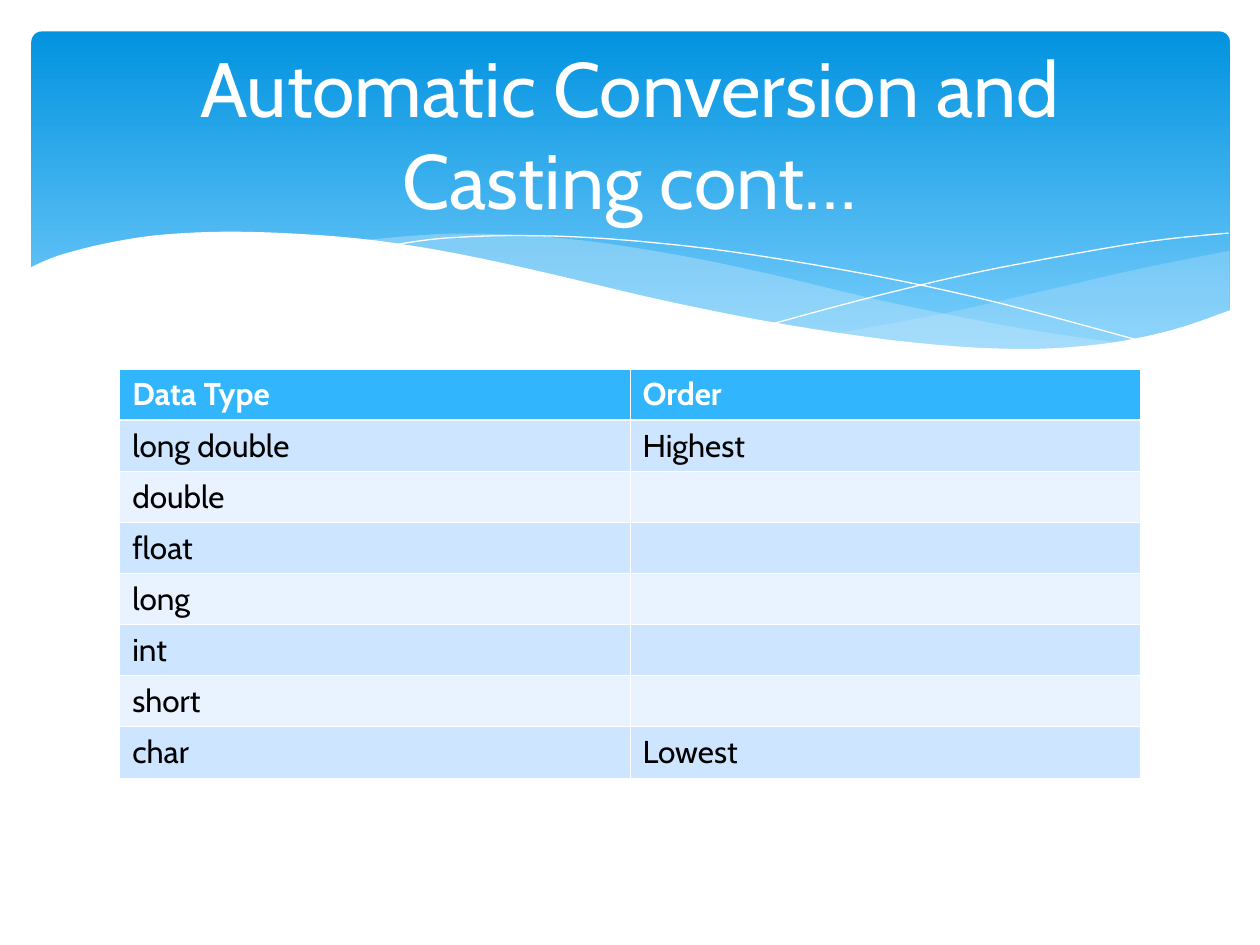
from lxml import etree
from pptx import Presentation, util as u
from pptx.dml.color import RGBColor
from pptx.enum import shapes, text
from pptx.oxml.ns import qn

# Content
TITLE = "Automatic Conversion and Casting cont…"
ROWS = [("Data Type", "Order"), ("long double", "Highest"), ("double", ""),
        ("float", ""), ("long", ""), ("int", ""), ("short", ""),
        ("char", "Lowest")]
FONT = "Cabin"
COLORS = {"white": "FFFFFF", "black": "000000", "top": "0293E0",
          "bottom": "83D3FE", "wave": "C6E7FC", "header": "31B6FD",
          "odd": "CDE5FE", "even": "E8F3FF"}
UNITS = 1000  # freeform units per inch, as points are whole numbers

# Waves: each edge is a list of points in inches joined by a smooth curve
RIGHT_WAVE = [
    [(9.76, 1.99), (9.06, 2.13), (8.32, 2.3), (7.53, 2.48), (6.61, 2.65)],
    [(6.61, 2.65), (7.18, 2.72), (7.81, 2.77), (8.35, 2.77), (8.89, 2.72),
     (9.35, 2.61), (9.76, 2.47)]]
LEFT_WAVE = [
    [(8.93, 2.73), (8.07, 2.6), (7.06, 2.4), (6.13, 2.18), (5.41, 2.03),
     (4.64, 1.91), (3.99, 1.86), (3.44, 1.86), (2.86, 1.91)],
    [(2.86, 1.91), (3.62, 2.03), (4.49, 2.22), (5.3, 2.4), (6.18, 2.58),
     (6.95, 2.7), (7.61, 2.77), (8.28, 2.78), (8.93, 2.73)]]
FALLING_LINE = [
    [(3.09, 1.95), (3.53, 1.89), (4.16, 1.87), (4.89, 1.9), (5.82, 2),
     (6.95, 2.19), (7.95, 2.41), (9.07, 2.71)]]
RISING_LINE = [
    [(6.13, 2.57), (6.95, 2.35), (7.76, 2.16), (8.66, 1.99), (9.24, 1.9),
     (9.75, 1.85)]]
WHITE_WAVE = [
    [(9.77, 2.46), (9.3, 2.62), (8.75, 2.73), (8.09, 2.77), (7.26, 2.72),
     (6.26, 2.58), (5.29, 2.39), (4.18, 2.13), (3.39, 1.97), (2.71, 1.88),
     (1.93, 1.84), (1.32, 1.86), (0.85, 1.93), (0.46, 2.03), (0.23, 2.13)],
    [(0.23, 3.29), (9.77, 3.29)]]

prs = Presentation()
prs.slide_width, prs.slide_height = u.Inches(10), u.Inches(7.5)
s = prs.slides.add_slide(prs.slide_layouts[6])


def rgb(name):
    return RGBColor.from_string(COLORS[name])


def smooth(pts, steps=5):
    """Points of a Catmull-Rom curve through pts."""
    if len(pts) < 3:
        return pts
    ext = [pts[0], *pts, pts[-1]]
    out = []
    for a, b, c, d in zip(ext, ext[1:], ext[2:], ext[3:]):
        for t in (i / steps for i in range(steps)):
            out.append(tuple(
                q + t / 2 * (r - p + t * (2 * p - 5 * q + 4 * r - w
                                          + t * (3 * (q - r) + w - p)))
                for p, q, r, w in zip(a, b, c, d)))
    return out + [pts[-1]]


def add_curve(edges, fill=None, opacity=100):
    """Filled wave, or an open white hairline when no fill is named."""
    pts = [(round(x * UNITS), round(y * UNITS))
           for edge in edges for x, y in smooth(edge)]
    fb = s.shapes.build_freeform(*pts[0], scale=u.Inches(1) / UNITS)
    fb.add_line_segments(pts[1:], close=fill is not None)
    sp = fb.convert_to_shape()
    sp.shadow.inherit = False
    if fill is None:
        sp.fill.background()
        sp.line.color.rgb = rgb("white")
        sp.line.width = 0
        return
    sp.line.fill.background()
    sp.fill.solid()
    sp.fill.fore_color.rgb = rgb(fill)
    if opacity < 100:
        clr = sp._element.spPr.find(".//" + qn("a:srgbClr"))
        etree.SubElement(clr, qn("a:alpha"), val=str(opacity * 1000))


def style(p, size, color, bold=False):
    p.font.name, p.font.size, p.font.bold = FONT, u.Pt(size), bold
    p.font.color.rgb = rgb(color)


def add_borders(cell, **widths):
    tcPr = cell._tc.get_or_add_tcPr()
    for i, side in enumerate("LRTB"):
        ln = etree.Element(qn("a:ln" + side),
                           w=str(u.Pt(widths.get(side, 0.45))))
        fill = etree.SubElement(ln, qn("a:solidFill"))
        etree.SubElement(fill, qn("a:srgbClr"), val=COLORS["white"])
        tcPr.insert(i, ln)


# Banner
sp = s.shapes.add_shape(shapes.MSO_SHAPE.ROUNDED_RECTANGLE, u.Inches(0.25),
                        u.Inches(0.25), u.Inches(9.51), u.Inches(2.7))
sp.adjustments[0] = 0.03
sp.shadow.inherit = False
sp.line.fill.background()
sp.fill.gradient()
sp.fill.gradient_angle = 270
for stop, name in zip(sp.fill.gradient_stops, ("top", "bottom")):
    stop.color.rgb = rgb(name)

# Waves
add_curve(RIGHT_WAVE, "wave", 29)
add_curve(LEFT_WAVE, "wave", 40)
add_curve(FALLING_LINE)
add_curve(RISING_LINE)
add_curve(WHITE_WAVE, "white")

# Table
table = s.shapes.add_table(len(ROWS), 2, u.Inches(0.95), u.Inches(2.93),
                           u.Inches(8.1), u.Inches(3.24)).table
for i, row in enumerate(ROWS):
    head = i == 0
    band = "header" if head else "odd" if i % 2 else "even"
    for j, words in enumerate(row):
        cell = table.cell(i, j)
        cell.text = words
        cell.fill.solid()
        cell.fill.fore_color.rgb = rgb(band)
        style(cell.text_frame.paragraphs[0], 18,
              "white" if head else "black", head)
        add_borders(cell, **({"B": 1.47} if head else
                             {"T": 1.47} if i == 1 else {}))

# Title
tf = s.shapes.add_textbox(u.Inches(0.5), u.Inches(0.37), u.Inches(9),
                          u.Inches(1.37)).text_frame
tf.word_wrap = True
tf.vertical_anchor = text.MSO_ANCHOR.MIDDLE
p = tf.paragraphs[0]
p.text = TITLE
p.alignment = text.PP_ALIGN.CENTER
style(p, 44, "white")

prs.save("out.pptx")
